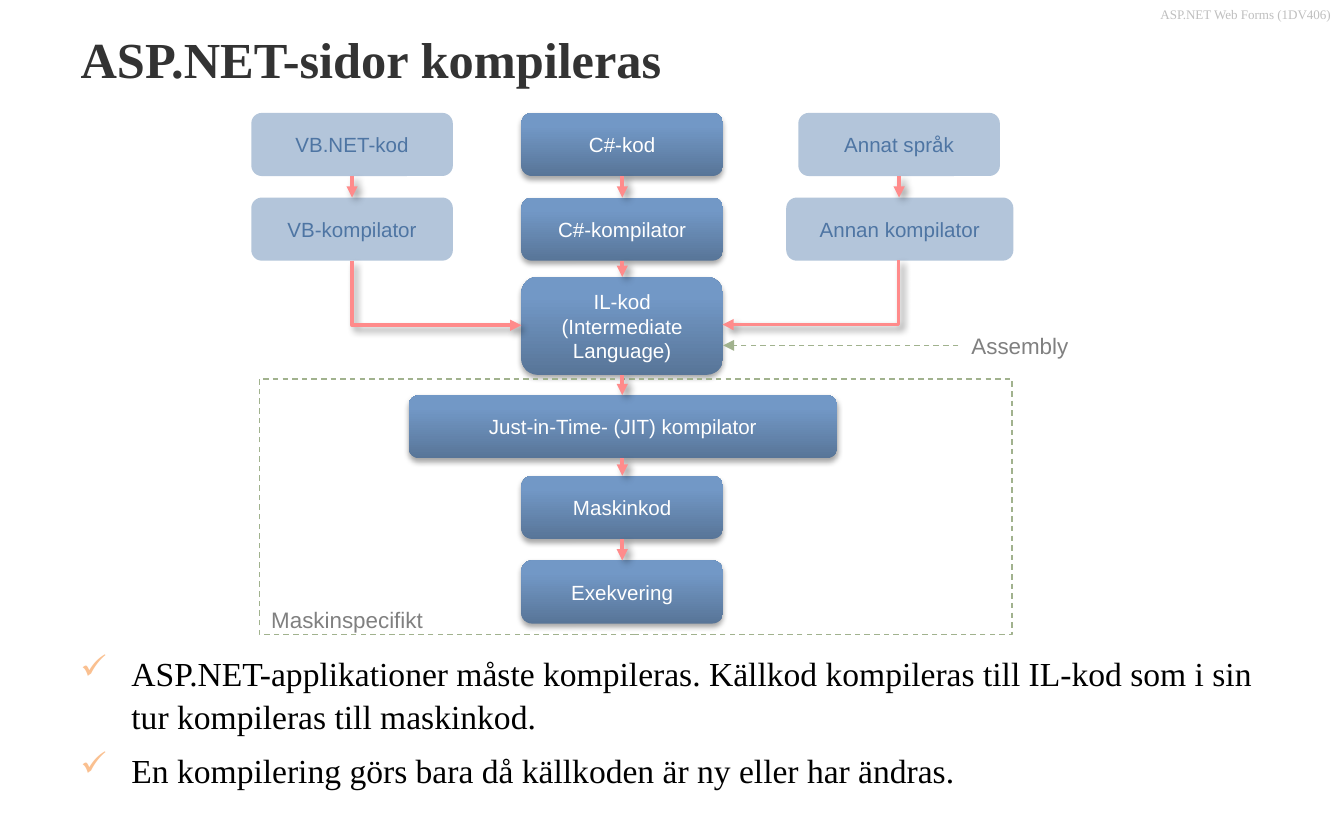
from dataclasses import dataclass
from itertools import pairwise
from typing import NamedTuple

from lxml.etree import SubElement
from pptx import Presentation
from pptx.dml.color import RGBColor
from pptx.enum.dml import MSO_LINE
from pptx.enum.shapes import MSO_CONNECTOR, MSO_SHAPE
from pptx.enum.text import MSO_ANCHOR, MSO_AUTO_SIZE, PP_ALIGN
from pptx.oxml.ns import qn
from pptx.util import Pt

EMU_PER_PX = 9144  # 100 px to the inch


@dataclass(frozen=True)
class Theme:
    serif: str = "Times New Roman"
    sans: str = "Arial"
    title: str = "333333"
    body: str = "000000"
    header: str = "BFBFBF"
    label: str = "808080"
    check: str = "FAC090"
    faded: str = "B3C5DA"
    faded_text: str = "4E75A3"
    active_text: str = "FFFFFF"
    active_stops: tuple = ((0, "587598"), (80, "7298C6"), (100, "7199C8"))
    flow: str = "FF8B8B"
    dashed: str = "A1B28E"
    header_size: int = 7
    title_size: int = 27
    body_size: int = 18
    node_size: int = 11
    label_size: int = 12
    # colour, opacity %, blur pt, distance pt, direction in degrees
    node_shadow: tuple = ("000000", 35, 3.1, 1.8, 90)
    flow_shadow: tuple = ("000000", 40, 4, 3, 45)


THEME = Theme()


class Box(NamedTuple):
    left: int
    top: int
    width: int
    height: int

    @property
    def right(self):
        return self.left + self.width

    @property
    def bottom(self):
        return self.top + self.height

    @property
    def center_x(self):
        return self.left + self.width // 2

    @property
    def center_y(self):
        return self.top + self.height // 2

    def inner(self, left, top, width, height):
        return Box(self.left + left, self.top + top, width, height)


def px(*lengths):
    return [length * EMU_PER_PX for length in lengths]


def set_text(shape, text, *, size, color, font=THEME.sans, bold=False, align=PP_ALIGN.LEFT,
             anchor=MSO_ANCHOR.TOP, wrap=True, inset=None, before=0, spacing=None):
    """Write one paragraph for each item, or a single one for a string."""
    frame = shape.text_frame
    frame.word_wrap, frame.auto_size = wrap, MSO_AUTO_SIZE.NONE
    frame.vertical_anchor = anchor
    if inset is not None:
        (frame.margin_left, frame.margin_top,
         frame.margin_right, frame.margin_bottom) = px(*[inset] * 4)
    for index, line in enumerate([text] if isinstance(text, str) else text):
        paragraph = frame.add_paragraph() if index else frame.paragraphs[0]
        paragraph.text = line
        paragraph.alignment = align
        paragraph.space_before = Pt(before)
        paragraph.line_spacing = spacing
        for run in paragraph.runs:
            run.font.size, run.font.name, run.font.bold = Pt(size), font, bold
            run.font.color.rgb = RGBColor.from_string(color)
    return frame


def add_text(slide, box, text, **text_format):
    return set_text(slide.shapes.add_textbox(*px(*box)), text, **text_format)


def set_shadow(shape, shadow=None):
    effects = SubElement(shape._element.spPr, qn("a:effectLst"))
    if shadow:
        color, opacity, blur, distance, direction = shadow
        outer = SubElement(effects, qn("a:outerShdw"), blurRad=str(Pt(blur)),
                           dist=str(Pt(distance)), dir=str(direction * 60000), rotWithShape="0")
        tint = SubElement(outer, qn("a:srgbClr"), val=color)
        SubElement(tint, qn("a:alpha"), val=str(opacity * 1000))


def fill_active(shape):
    """Fill with the three-stop gradient, running from bottom to top."""
    shape.fill.gradient()
    gradient = shape._element.spPr.find(qn("a:gradFill"))
    for child in list(gradient):
        gradient.remove(child)
    stops = SubElement(gradient, qn("a:gsLst"))
    for position, color in THEME.active_stops:
        stop = SubElement(stops, qn("a:gs"), pos=str(position * 1000))
        SubElement(stop, qn("a:srgbClr"), val=color)
    SubElement(gradient, qn("a:lin"), ang=str(270 * 60000), scaled="0")


def add_node(slide, box, text, active=True, inset=12):
    node = slide.shapes.add_shape(MSO_SHAPE.ROUNDED_RECTANGLE, *px(*box))
    if active:
        fill_active(node)
    else:
        node.fill.solid()
        node.fill.fore_color.rgb = RGBColor.from_string(THEME.faded)
    node.line.fill.background()
    set_shadow(node, THEME.node_shadow if active else None)
    set_text(node, text, size=THEME.node_size, align=PP_ALIGN.CENTER, anchor=MSO_ANCHOR.MIDDLE,
             color=THEME.active_text if active else THEME.faded_text, inset=inset)
    return box


def style_line(line, color, width, dashed=False):
    line.color.rgb = RGBColor.from_string(color)
    line.width = Pt(width)
    if dashed:
        line.dash_style = MSO_LINE.DASH


def add_arrow(slide, start, end, dashed=False):
    arrow = slide.shapes.add_connector(MSO_CONNECTOR.STRAIGHT, *px(*start, *end))
    style_line(arrow.line, THEME.dashed if dashed else THEME.flow, 0.75 if dashed else 2, dashed)
    SubElement(arrow._element.spPr.find(qn("a:ln")), qn("a:tailEnd"), type="triangle")
    set_shadow(arrow, None if dashed else THEME.flow_shadow)
    return arrow


def add_down_arrow(slide, upper, lower):
    add_arrow(slide, (upper.center_x, upper.bottom), (upper.center_x, lower.top))


def add_elbow(slide, start, end):
    """Go down from start, then sideways to end: a turned one-corner connector."""
    (x1, y1), (x2, y2) = start, end
    run, drop = abs(x2 - x1), abs(y2 - y1)
    left, top = (x1 + x2 - drop) // 2, (y1 + y2 - run) // 2
    elbow = add_arrow(slide, (left, top), (left + drop, top + run))
    properties = elbow._element.spPr
    properties.find(qn("a:prstGeom")).set("prst", "bentConnector2")
    transform = properties.find(qn("a:xfrm"))
    transform.set("rot", str((270 if x2 > x1 else 90) * 60000))
    if x2 > x1:
        transform.set("flipH", "1")


def add_heading(slide, box):
    title = slide.shapes.title
    title.left, title.top, title.width, title.height = px(*box)
    set_text(title, "ASP.NET-sidor kompileras", size=THEME.title_size, color=THEME.title,
             font=THEME.serif, bold=True, anchor=MSO_ANCHOR.MIDDLE, inset=10)


def add_languages(slide, box):
    """Place a source and its compiler in each column; return the compilers."""
    columns = (
        (75, 150, "VB.NET-kod", "VB-kompilator", False),
        (276, 150, "C#-kod", "C#-kompilator", True),
        (482, 169, "Annat språk", "Annan kompilator", False),
    )
    compilers = []
    for center, compiler_width, source_name, compiler_name, active in columns:
        source = add_node(slide, box.inner(center - 75, 0, 150, 47), source_name, active)
        compiler = add_node(slide, box.inner(center - compiler_width // 2, 63, compiler_width, 47),
                            compiler_name, active)
        add_down_arrow(slide, source, compiler)
        compilers.append(compiler)
    return compilers


def add_intermediate(slide, box, compilers):
    add_node(slide, box, "IL-kod\v(Intermediate Language)", inset=5)
    vb, c_sharp, other = compilers
    add_down_arrow(slide, c_sharp, box)
    add_elbow(slide, (vb.center_x, vb.bottom), (box.left, box.center_y))
    add_elbow(slide, (other.center_x, other.bottom), (box.right, box.center_y))
    assembly = box.inner(325, 36, 93, 30)
    add_text(slide, assembly, "Assembly", size=THEME.label_size, color=THEME.label, wrap=False)
    add_arrow(slide, (assembly.left, assembly.center_y), (box.right, assembly.center_y), dashed=True)


def add_machine_stage(slide, box, intermediate):
    frame = slide.shapes.add_shape(MSO_SHAPE.RECTANGLE, *px(*box))
    frame.fill.background()
    style_line(frame.line, THEME.dashed, 0.75, dashed=True)
    set_shadow(frame)
    steps = ((12, 319, "Just-in-Time- (JIT) kompilator"), (72, 150, "Maskinkod"),
             (135, 150, "Exekvering"))
    center = intermediate.center_x - box.left
    nodes = [add_node(slide, box.inner(center - width // 2, top, width, 47), name)
             for top, width, name in steps]
    for upper, lower in pairwise([intermediate, *nodes]):
        add_down_arrow(slide, upper, lower)
    add_text(slide, box.inner(-1, 164, 134, 30), "Maskinspecifikt",
             size=THEME.label_size, color=THEME.label, wrap=False)


def add_notes(slide, box):
    frame = add_text(slide, box, (
        "ASP.NET-applikationer måste kompileras. Källkod kompileras till IL-kod "
        "som i sin tur kompileras till maskinkod.",
        "En kompilering görs bara då källkoden är ny eller har ändras.",
    ), size=THEME.body_size, color=THEME.body, font=THEME.serif, before=6, spacing=1.06)
    indent, = px(38)
    for paragraph in frame.paragraphs:
        properties = paragraph._p.get_or_add_pPr()
        properties.set("marL", str(indent))
        properties.set("indent", str(-indent))
        SubElement(SubElement(properties, qn("a:buClr")), qn("a:srgbClr"), val=THEME.check)
        SubElement(properties, qn("a:buChar"), char="✓")


def main():
    deck = Presentation()
    deck.slide_width, deck.slide_height = px(1000, 625)
    slide = deck.slides.add_slide(deck.slide_layouts[5])
    add_text(slide, Box(542, 0, 458, 34), "ASP.NET Web Forms (1DV406)", size=THEME.header_size,
             color=THEME.header, font=THEME.serif, align=PP_ALIGN.RIGHT)
    add_heading(slide, Box(50, 11, 900, 65))
    compilers = add_languages(slide, Box(187, 84, 566, 110))
    intermediate = Box(388, 206, 150, 73)
    add_intermediate(slide, intermediate, compilers)
    add_machine_stage(slide, Box(193, 282, 560, 190), intermediate)
    add_notes(slide, Box(50, 479, 900, 115))
    deck.save("out.pptx")


if __name__ == "__main__":
    main()
